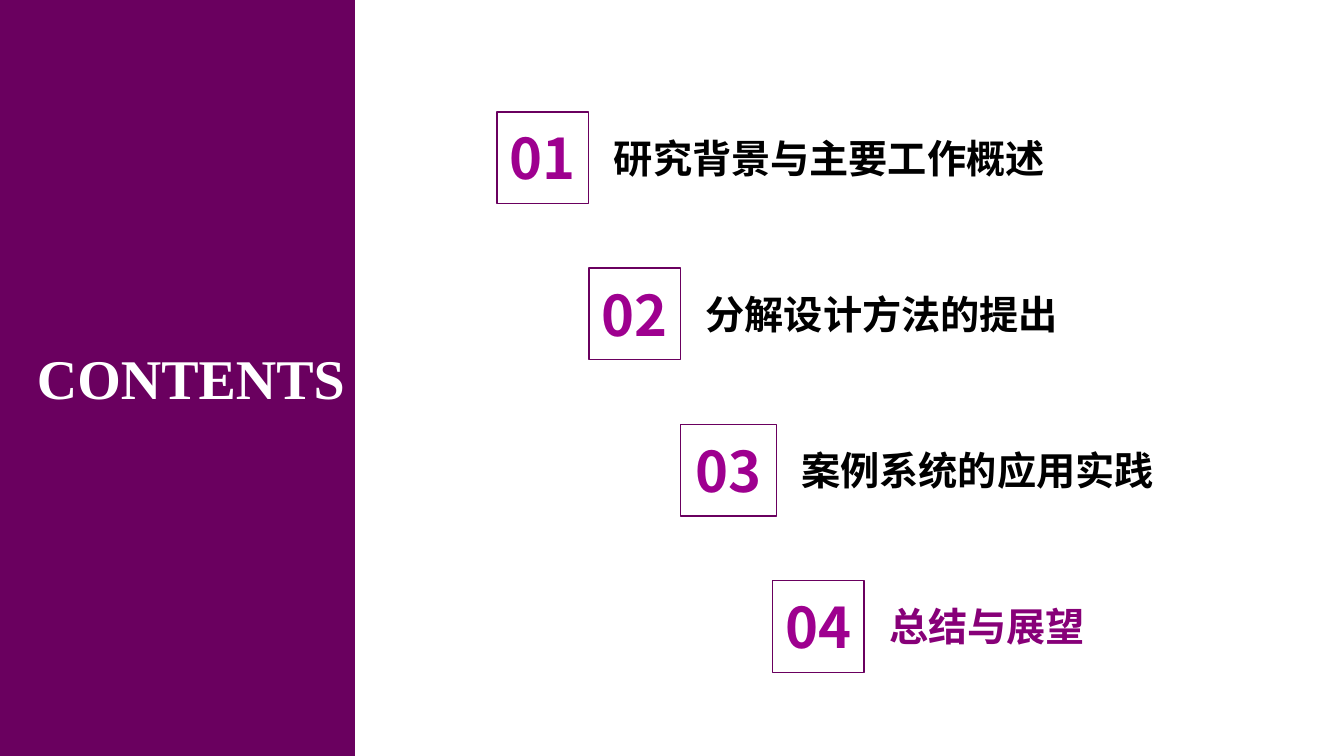
from dataclasses import dataclass

from lxml import etree
from pptx import Presentation
from pptx.dml.color import RGBColor
from pptx.enum import shapes, text
from pptx.oxml.ns import qn
from pptx.util import Inches, Pt

PURPLE, NUMBER, ACTIVE = "6A005F", "9E008F", "870078"
SERIF, SANS = "Times New Roman", "Noto Sans CJK SC"
LEFT, TOP, STEP_X, STEP_Y = 4.93, 1.11, 0.91, 1.55
BOX, GAP = 0.91, 0.15


@dataclass
class Chapter:
    title: str
    label_width: float
    box_width: float = BOX
    color: str = "000000"


CHAPTERS = [
    Chapter("研究背景与主要工作概述", 4.48),
    Chapter("分解设计方法的提出", 4.13),
    Chapter("案例系统的应用实践", 4.47, box_width=0.95),
    Chapter("总结与展望", 3.23, color=ACTIVE),
]


def rgb(color: str) -> RGBColor:
    return RGBColor.from_string(color)


def write(sp, words: str, size: int, font: str, color: str, align) -> None:
    """Put one bold paragraph into a shape."""
    tf = sp.text_frame
    tf.word_wrap = True
    tf.auto_size = text.MSO_AUTO_SIZE.SHAPE_TO_FIT_TEXT
    tf.vertical_anchor = text.MSO_ANCHOR.TOP
    tf.text = words
    p = tf.paragraphs[0]
    p.alignment = align
    p.font.size, p.font.bold, p.font.name = Pt(size), True, font
    p.font.color.rgb = rgb(color)
    # East Asian typeface
    etree.SubElement(p.font._rPr, qn("a:ea"), typeface=SANS)


def add_box(parent, x: float, y: float, w: float, h: float):
    sp = parent.add_shape(shapes.MSO_SHAPE.RECTANGLE,
                          Inches(x), Inches(y), Inches(w), Inches(h))
    sp.shadow.inherit = False
    return sp


def add_text(parent, x: float, y: float, w: float, h: float):
    return parent.add_textbox(Inches(x), Inches(y), Inches(w), Inches(h))


def add_chapter(s, index: int, chapter: Chapter) -> None:
    """Draw a numbered square with its heading, one step down the stairs."""
    x, y = LEFT + index * STEP_X, TOP + index * STEP_Y
    group = s.shapes.add_group_shape().shapes

    label = add_text(group, x + chapter.box_width + GAP, y + 0.17, chapter.label_width, 0.57)
    write(label, chapter.title, 28, SERIF, chapter.color, text.PP_ALIGN.LEFT)

    number = add_text(group, x, y + 0.07, chapter.box_width, 0.77)
    write(number, f"{index + 1:02}", 40, SANS, NUMBER, text.PP_ALIGN.CENTER)

    frame = add_box(group, x, y, chapter.box_width, BOX)
    frame.fill.background()
    frame.line.color.rgb = rgb(PURPLE)
    frame.line.width = Pt(1)


def main() -> None:
    prs = Presentation()
    prs.slide_width, prs.slide_height = Inches(13.33), Inches(7.5)
    s = prs.slides.add_slide(prs.slide_layouts[5])

    # Side panel, behind the title
    panel = add_box(s.shapes, 0, 0, 3.52, 7.5)
    panel.fill.solid()
    panel.fill.fore_color.rgb = rgb(PURPLE)
    panel.line.fill.background()
    title = s.shapes.title
    title.element.addprevious(panel.element)

    # Title
    title.left, title.top = Inches(-0.01), Inches(3.36)
    title.width, title.height = Inches(3.53), Inches(0.77)
    write(title, "CONTENTS", 40, SERIF, "FFFFFF", text.PP_ALIGN.RIGHT)

    # Chapters
    for index, chapter in enumerate(CHAPTERS):
        add_chapter(s, index, chapter)

    prs.save("out.pptx")


if __name__ == "__main__":
    main()
